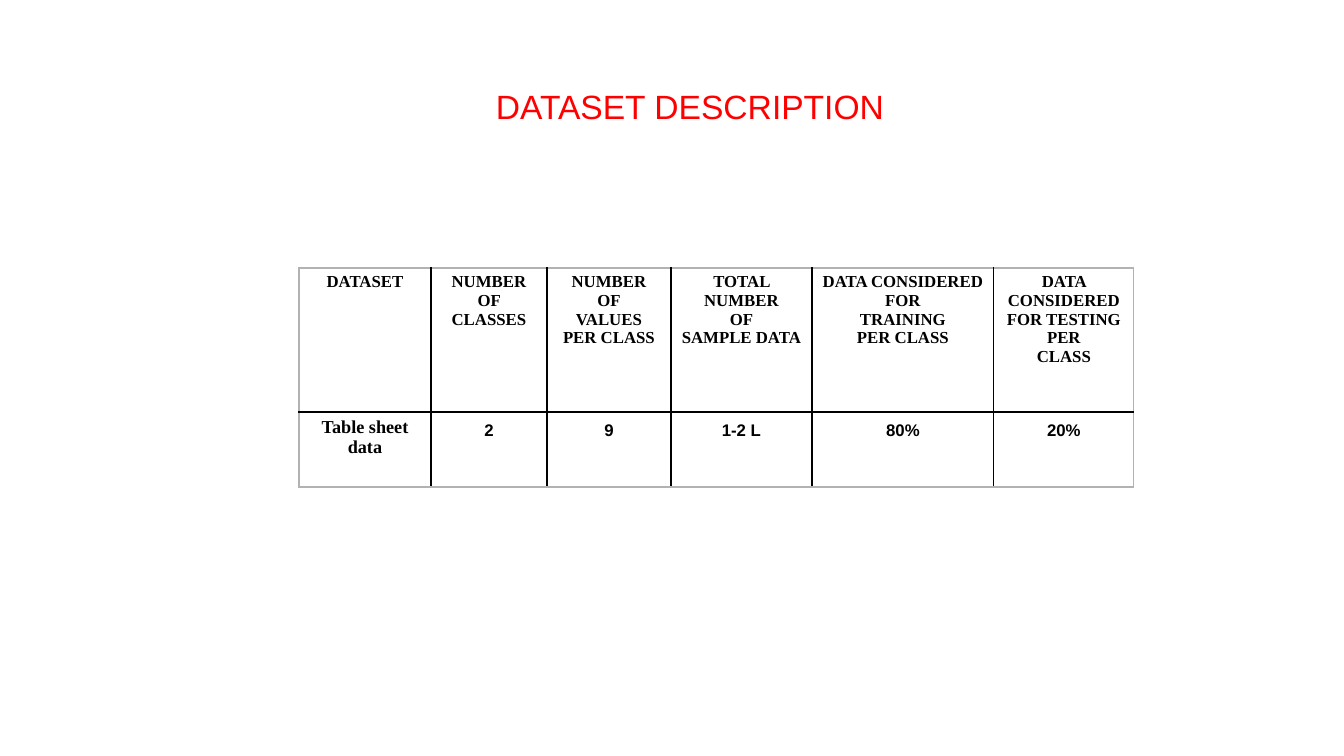
from lxml import etree
from pptx import Presentation
from pptx.dml.color import RGBColor
from pptx.enum.text import MSO_ANCHOR, PP_ALIGN
from pptx.oxml.ns import qn
from pptx.util import Pt

EMU_PER_PX = 914400 / 100.8
CENTER = PP_ALIGN.CENTER
TOP = MSO_ANCHOR.TOP
BLACK = RGBColor(0, 0, 0)
GRAY = RGBColor(0xB2, 0xB2, 0xB2)
RED = RGBColor(0xFF, 0, 0)
SANS = "Arial"
SERIF = "Times New Roman"

COLUMN_WIDTHS = [132, 116, 124, 141, 182, 140]
ROW_HEIGHTS = [144, 75]
HEADERS = [
    "DATASET",
    "NUMBER\nOF CLASSES",
    "NUMBER\nOF\nVALUES\nPER CLASS",
    "TOTAL NUMBER\nOF\nSAMPLE DATA",
    "DATA CONSIDERED\nFOR\nTRAINING\nPER CLASS",
    "DATA CONSIDERED FOR TESTING PER\nCLASS",
]
DATASET_NAME = "Table sheet data"
VALUES = ["2", "9", "1-2 L", "80%", "20%"]


def px(length):
    """Convert pixels to EMU."""
    return round(length * EMU_PER_PX)


def write_text(frame, text, font_name, size, color, bold=False, spacing=None):
    """Fill a text frame with centred paragraphs, one per line of text."""
    frame.text = text
    frame.word_wrap = True
    for paragraph in frame.paragraphs:
        paragraph.alignment = CENTER
        paragraph.line_spacing = spacing
        font = paragraph.font
        font.name, font.size, font.bold = font_name, Pt(size), bold
        font.color.rgb = color


def add_title(slide, text):
    """Add the slide heading."""
    box = slide.shapes.add_textbox(px(258), px(86), px(864), px(40))
    frame = box.text_frame
    frame.margin_left = frame.margin_right = 0
    frame.margin_top = frame.margin_bottom = 0
    write_text(frame, text, SANS, 24, RED)


def set_borders(cell, colors):
    """Draw the left, right, top and bottom borders of a cell."""
    properties = cell._tc.get_or_add_tcPr()
    for index, (side, color) in enumerate(zip("LRTB", colors)):
        line = etree.Element(qn(f"a:ln{side}"), w=str(Pt(1)))
        fill = etree.SubElement(line, qn("a:solidFill"))
        etree.SubElement(fill, qn("a:srgbClr"), val=str(color))
        properties.insert(index, line)


def format_cell(cell, text, font_name, size, margins, spacing=None):
    """Write bold text in an unfilled cell with the given margins."""
    horizontal, vertical = margins
    cell.margin_left = cell.margin_right = px(horizontal)
    cell.margin_top = cell.margin_bottom = px(vertical)
    cell.vertical_anchor = TOP
    cell.fill.background()
    write_text(cell.text_frame, text, font_name, size, BLACK, True, spacing)


def add_dataset_table(slide):
    """Add the dataset table with black inner and gray outer borders."""
    last_row, last_column = len(ROW_HEIGHTS) - 1, len(COLUMN_WIDTHS) - 1
    table = slide.shapes.add_table(
        len(ROW_HEIGHTS), len(COLUMN_WIDTHS), px(299), px(268),
        px(sum(COLUMN_WIDTHS)), px(sum(ROW_HEIGHTS)),
    ).table
    table.first_row = table.horz_banding = False
    for column, width in zip(table.columns, COLUMN_WIDTHS):
        column.width = px(width)
    for row, height in zip(table.rows, ROW_HEIGHTS):
        row.height = px(height)

    for index, header in enumerate(HEADERS):
        format_cell(table.cell(0, index), header, SERIF, 12, (10, 5))
    format_cell(table.cell(1, 0), DATASET_NAME, SERIF, 13, (10, 5))
    for index, value in enumerate(VALUES, start=1):
        format_cell(table.cell(1, index), value, SANS, 12, (7, 0), 1.5)

    for row_index, row in enumerate(table.rows):
        for column_index, cell in enumerate(row.cells):
            outer_sides = (column_index == 0, column_index == last_column,
                           row_index == 0, row_index == last_row)
            set_borders(cell, [GRAY if outer else BLACK for outer in outer_sides])


def main():
    """Build and save the dataset description slide."""
    presentation = Presentation()
    presentation.slide_width, presentation.slide_height = px(1344), px(756)
    slide = presentation.slides.add_slide(presentation.slide_layouts[6])
    add_title(slide, "DATASET DESCRIPTION")
    add_dataset_table(slide)
    presentation.save("out.pptx")


if __name__ == "__main__":
    main()
